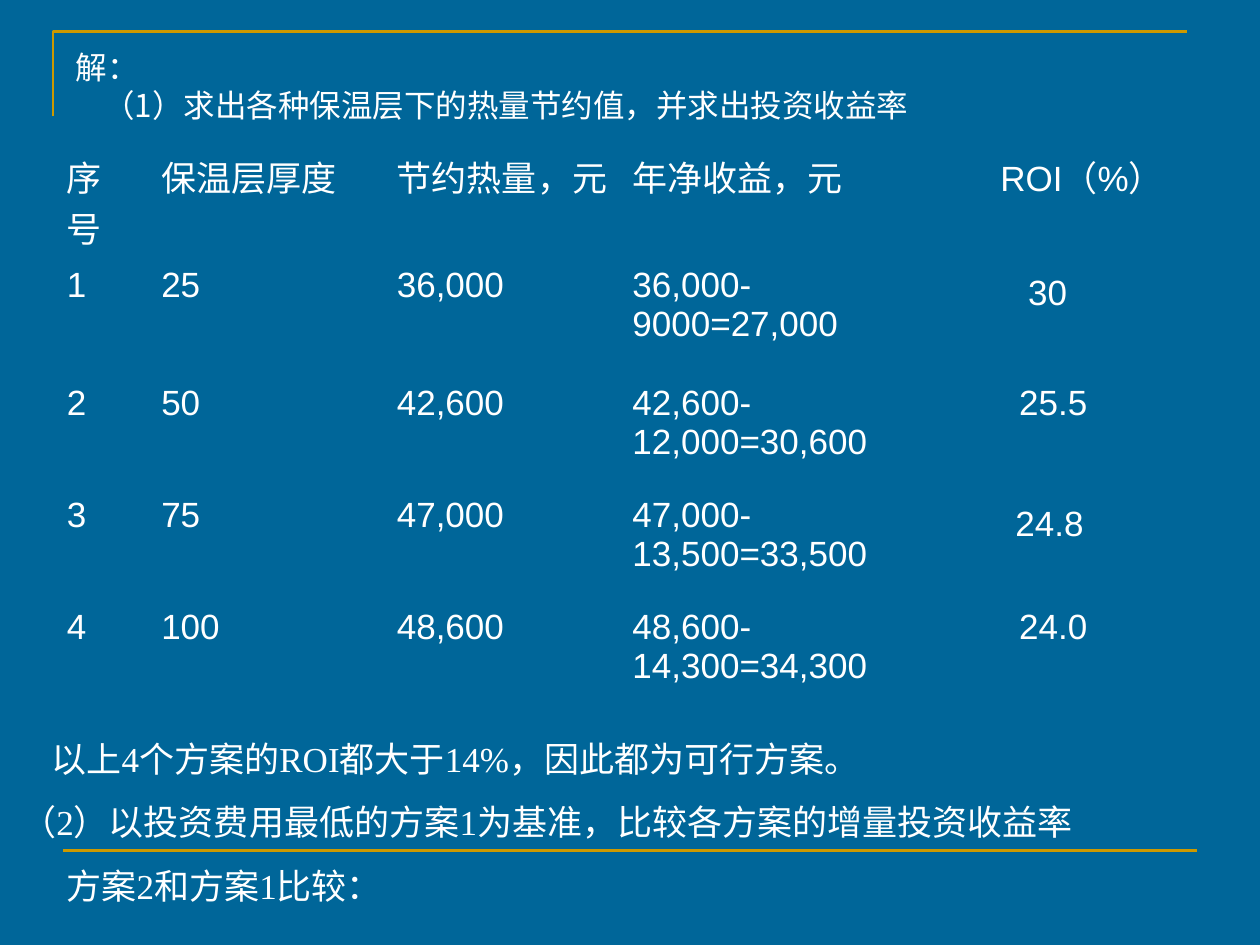
"""Build the slide comparing the return on investment of four insulation layers."""
from lxml import etree
from pptx import Presentation
from pptx.dml.color import RGBColor
from pptx.enum.shapes import MSO_CONNECTOR
from pptx.enum.text import MSO_ANCHOR, MSO_AUTO_SIZE, PP_ALIGN
from pptx.oxml.ns import qn
from pptx.util import Inches, Pt

STRAIGHT = MSO_CONNECTOR.STRAIGHT
TOP, LEFT, NO_FIT = MSO_ANCHOR.TOP, PP_ALIGN.LEFT, MSO_AUTO_SIZE.NONE
BLUE, GOLD, WHITE = "006699", "CC9900", "FFFFFF"
CJK = "Noto Sans CJK SC"

TITLE = [("解：", 0), ("（1）求出各种保温层下的热量节约值，并求出投资收益率", 0.22)]
ROWS = [
    ("序号", "保温层厚度", "节约热量，元", "年净收益，元", "ROI（%）"),
    ("1", "25", "36,000", "36,000-9000=27,000", "30"),
    ("2", "50", "42,600", "42,600-12,000=30,600", "25.5"),
    ("3", "75", "47,000", "47,000-13,500=33,500", "24.8"),
    ("4", "100", "48,600", "48,600-14,300=34,300", "24.0"),
]
COL_WIDTHS = [0.75, 1.87, 1.87, 2.54, 3.53]
ROW_HEIGHTS = [0.89, 0.94, 0.89, 0.89, 0.89]
ROI_MARGINS = [(0.48, 0.05), (0.7, 0.12), (0.63, 0.05), (0.6, 0.12), (0.63, 0.05)]
NOTES = [
    ("以上4个方案的ROI都大于14%，因此都为可行方案。", 0.31),
    ("（2）以投资费用最低的方案1为基准，比较各方案的增量投资收益率", 0.07),
    ("方案2和方案1比较：", 0.43),
]


def rgb(color):
    """Turn a hex string into a colour."""
    return RGBColor.from_string(color)


def write(tf, lines, font, size, **spacing):
    """Write (text, indent) lines as white left-aligned paragraphs."""
    for i, (text, indent) in enumerate(lines):
        p = tf.paragraphs[0] if i == 0 else tf.add_paragraph()
        for name, value in {"alignment": LEFT, **spacing}.items():
            setattr(p, name, value)
        if indent:
            p._p.get_or_add_pPr().set("marL", str(Inches(indent)))
        r = p.add_run()
        r.text = text
        for name, value in {"name": font, "size": Pt(size), "bold": False}.items():
            setattr(r.font, name, value)
        r.font.color.rgb = rgb(WHITE)
        etree.SubElement(r._r.get_or_add_rPr(), qn("a:ea"), typeface=CJK)


def place(shape, left, top, width, height):
    """Set the position and size of a shape in inches."""
    box = {"left": left, "top": top, "width": width, "height": height}
    for name, value in box.items():
        setattr(shape, name, Inches(value))


def gold_line(shape):
    """Give a line or outline the gold stroke."""
    shape.line.color.rgb = rgb(GOLD)
    shape.line.width = Pt(1.5)


prs = Presentation()
prs.slide_width, prs.slide_height = Inches(10), Inches(7.5)
s = prs.slides.add_slide(prs.slide_layouts[5])
s.background.fill.solid()
s.background.fill.fore_color.rgb = rgb(BLUE)

builder = s.shapes.build_freeform(Inches(0.42), Inches(0.92), scale=1.0)
corner_points = [(0.42, 0.25), (9.42, 0.25)]
builder.add_line_segments([(Inches(x), Inches(y)) for x, y in corner_points], close=False)
corner = builder.convert_to_shape()
corner.fill.background()
corner.shadow.inherit = False
gold_line(corner)

rule = s.shapes.add_connector(STRAIGHT, Inches(0.5), Inches(6.75), Inches(9.5), Inches(6.75))
gold_line(rule)
etree.SubElement(rule._element.spPr, qn("a:effectLst"))

title = s.shapes.title
place(title, 0.5, 0, 9.5, 1.07)
tf = title.text_frame
frame_format = {"vertical_anchor": TOP, "auto_size": NO_FIT, "word_wrap": True,
                "margin_top": Inches(0.38)}
for name, value in frame_format.items():
    setattr(tf, name, value)
write(tf, TITLE, CJK, 18, line_spacing=Pt(21.6))

frame = s.shapes.add_table(len(ROWS), len(COL_WIDTHS), Inches(0.43), Inches(1.15),
                           Inches(sum(COL_WIDTHS)), Inches(sum(ROW_HEIGHTS)))
table = frame.table
table.first_row = table.horz_banding = False
for column, width in zip(table.columns, COL_WIDTHS):
    column.width = Inches(width)
for row, height in zip(table.rows, ROW_HEIGHTS):
    row.height = Inches(height)
for i, values in enumerate(ROWS):
    for j, text in enumerate(values):
        cell = table.cell(i, j)
        cell.fill.background()
        write(cell.text_frame, [(text, 0)], "Arial", 20, space_before=Pt(5))
        borders = cell._tc.get_or_add_tcPr()
        for k, side in enumerate(("a:lnL", "a:lnR", "a:lnT", "a:lnB")):
            border = etree.Element(qn(side), w="0")
            etree.SubElement(border, qn("a:noFill"))
            borders.insert(k, border)
    left, top = ROI_MARGINS[i]
    cell.margin_left, cell.margin_top = Inches(left), Inches(top)

notes = s.shapes.add_textbox(Inches(0), Inches(5.8), Inches(10), Inches(1.45))
notes.text_frame.word_wrap = True
write(notes.text_frame, NOTES, "Times New Roman", 20, space_before=Pt(12.5))

prs.save("out.pptx")
